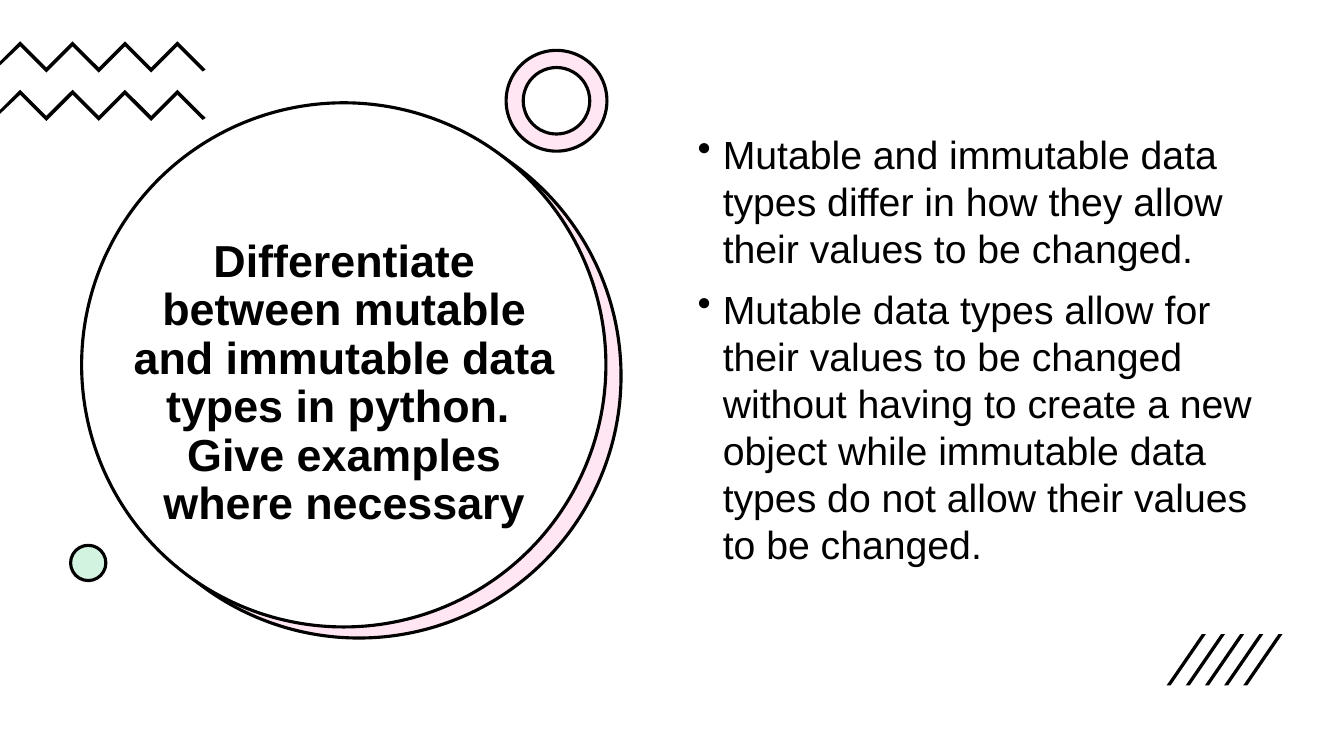
from pptx import Presentation
from pptx.dml.color import RGBColor
from pptx.enum import shapes as sh, text as tx
from pptx.oxml.ns import qn
from pptx.util import Inches, Pt
from lxml import etree

BLACK = RGBColor(0, 0, 0)
WHITE = RGBColor(255, 255, 255)
PINK = RGBColor(0xFF, 0xE6, 0xF2)
GREEN = RGBColor(0xD3, 0xF3, 0xE1)

deck = Presentation()
deck.slide_width, deck.slide_height = Inches(13.33), Inches(7.5)
slide = deck.slides.add_slide(deck.slide_layouts[6])
slide.background.fill.solid()
slide.background.fill.fore_color.rgb = WHITE


def outline(points):
    spots = [(Inches(x), Inches(y)) for x, y in points]
    pen = slide.shapes.build_freeform(*spots[0])
    pen.add_line_segments(spots[1:], close=True)
    form = pen.convert_to_shape()
    form.shadow.inherit = False
    form.fill.solid()
    form.fill.fore_color.rgb = BLACK
    form.line.fill.background()


def text_box(left, top, width, height):
    box = slide.shapes.add_textbox(*map(Inches, (left, top, width, height)))
    box.text_frame.word_wrap = True
    return box.text_frame


# Discs and ring
OVAL, DONUT = sh.MSO_SHAPE.OVAL, sh.MSO_SHAPE.DONUT
for kind, left, top, size, color in [
    (OVAL, 0.96, 1.13, 5.2, PINK),
    (OVAL, 0.81, 1.02, 5.2, WHITE),
    (DONUT, 5.02, 0.5, 1, PINK),
    (OVAL, 0.7, 5.41, 0.35, GREEN),
]:
    disc = slide.shapes.add_shape(kind, *map(Inches, (left, top, size, size)))
    disc.shadow.inherit = False
    disc.fill.solid()
    disc.fill.fore_color.rgb = color
    disc.line.color.rgb = BLACK
    disc.line.width = Pt(2.25)
    if kind == DONUT:
        disc.adjustments[0] = 0.17

# Zigzags
for top in (0.41, 0.89):
    upper = [(0.2 + 0.26 * i, top + 0.26 * (i % 2)) for i in range(7)]
    lower = [(x, y + 0.05) for x, y in reversed(upper)]
    tip = [(2.04, top + 0.28), (2.01, top + 0.3)]
    edge = [(0, top + 0.24), (0, top + 0.2)]
    outline(upper + tip + lower + edge)

# Slanted bars
for i in range(5):
    left = 11.57 + 0.19 * i
    outline([(left + 0.04, 6.8), (left, 6.8), (left + 0.35, 6.29), (left + 0.39, 6.29)])

# Title
frame = text_box(1.21, 2.05, 4.41, 3.52)
frame.vertical_anchor = tx.MSO_ANCHOR.MIDDLE
title = frame.paragraphs[0]
title.add_run().text = "Differentiate between mutable and immutable data types in python. "
title.add_line_break()
title.add_run().text = "Give examples where necessary"
title.alignment = tx.PP_ALIGN.CENTER
title.line_spacing = 0.9
title.font.size = Pt(32)
title.font.bold = True
title.font.name = "Arial"
title.font.color.rgb = BLACK

# Bullets
frame = text_box(6.82, 1.24, 5.71, 4.76)
points = [
    "Mutable and immutable data types differ in how they allow their values to be changed.",
    "Mutable data types allow for their values to be changed without having to create "
    "a new object while immutable data types do not allow their values to be changed.",
]
for i, point in enumerate(points):
    para = frame.add_paragraph() if i else frame.paragraphs[0]
    para.text = point
    para.space_before = Pt(10)
    para.font.size = Pt(28)
    para.font.name = "Arial"
    para.font.color.rgb = BLACK
    props = para._p.get_or_add_pPr()
    props.set("marL", str(Inches(0.25)))
    props.set("indent", str(-Inches(0.25)))
    mark = etree.Element(qn("a:buChar"), char="•")
    props.find(qn("a:spcBef")).addnext(mark)

deck.save("out.pptx")
